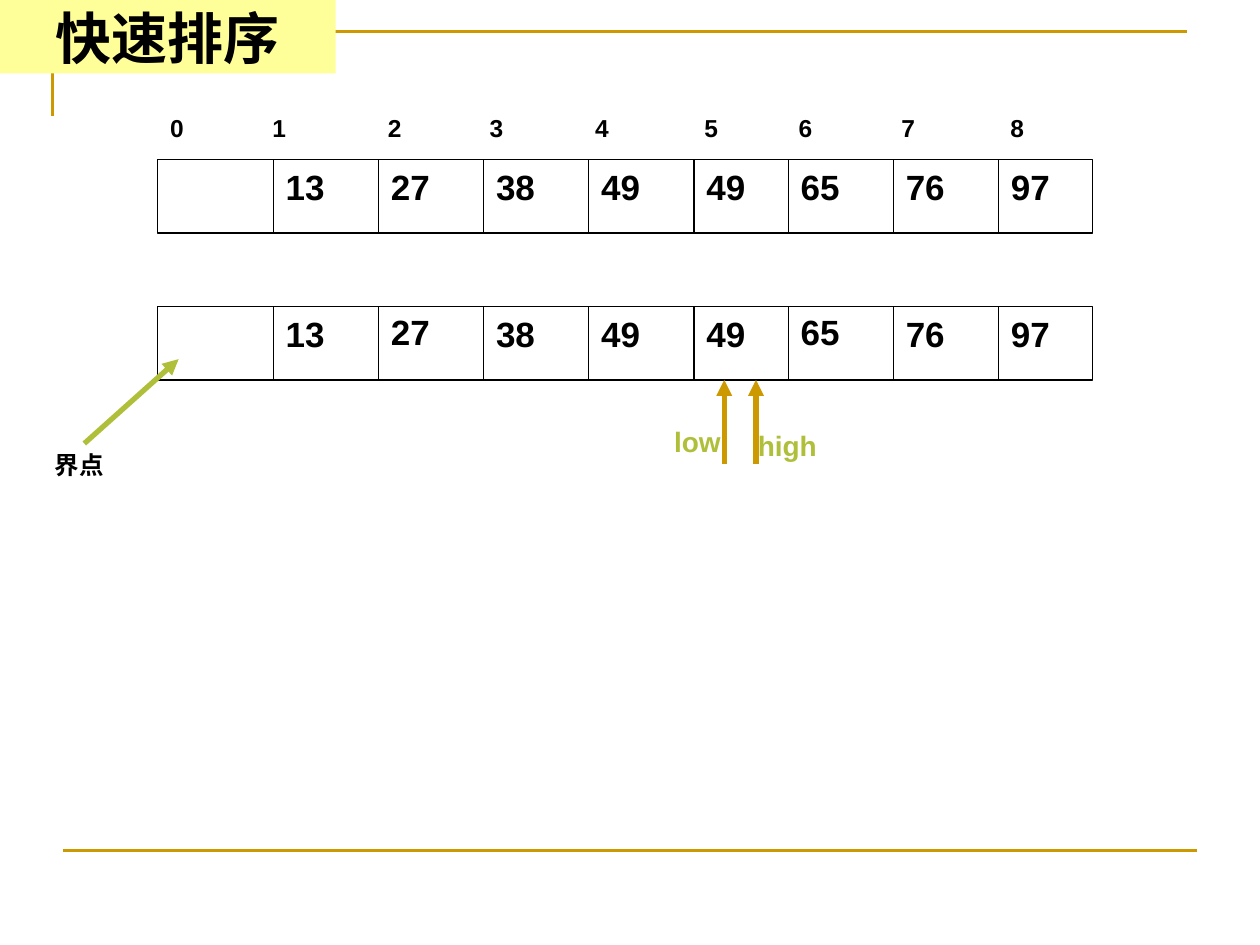
"""Build a quick sort slide showing an array before and after the pointers meet."""
from itertools import accumulate

import pptx
import pptx.dml.color
import pptx.enum.dml
import pptx.enum.shapes
import pptx.enum.text
import pptx.oxml
import pptx.oxml.ns
import pptx.util
from pptx.util import Cm

COLORS = {
    "ink": "000000",
    "paper": "FFFFFF",
    "gold": "CC9900",
    "green": "AFBF39",
    "title": "FFFF99",
}
VALUES = ["13", "27", "38", "49", "49", "65", "76", "97"]
CELL_WIDTHS = [2.33, 2.12, 2.12, 2.12, 2.12, 1.9, 2.12, 2.12, 1.9]
INDEX_TABS = [2.06, 4.39, 6.44, 8.57, 10.77, 12.67, 14.74, 16.94]
ROW_LEFT = 3.18
ROW_HEIGHT = 1.48
ROW_TOPS = [3.22, 6.18]
RAISED = {(1, "27"), (1, "65")}


def rgb(name):
    return pptx.dml.color.RGBColor.from_string(COLORS[name])


def style_line(line, color, width):
    line.color.rgb = rgb(color)
    line.width = pptx.util.Pt(width)


def style_text(frame, text, size, color="ink", font="Arial"):
    frame.word_wrap = True
    frame.text = text
    for run in frame.paragraphs[0].runs:
        run.font.name = font
        run.font.size = pptx.util.Pt(size)
        run.font.bold = True
        run.font.color.rgb = rgb(color)


def add_label(shapes, text, left, top, width, height, size, color="ink"):
    label = shapes.add_textbox(Cm(left), Cm(top), Cm(width), Cm(height))
    style_text(label.text_frame, text, size, color)
    return label


def add_box(shapes, left, top, width, height, fill):
    box = shapes.add_shape(pptx.enum.shapes.MSO_SHAPE.RECTANGLE,
                           Cm(left), Cm(top), Cm(width), Cm(height))
    box.shadow.inherit = False
    box.fill.solid()
    box.fill.fore_color.rgb = rgb(fill)
    return box


def add_line(shapes, start, end, color, width, arrow=False):
    line = shapes.add_connector(pptx.enum.shapes.MSO_CONNECTOR.STRAIGHT,
                                *map(Cm, start + end))
    style_line(line.line, color, width)
    if arrow:
        head = pptx.oxml.parse_xml(
            f'<a:tailEnd {pptx.oxml.ns.nsdecls("a")} type="triangle"/>')
        line.line._get_or_add_ln().append(head)
    line._element.spPr.append(
        pptx.oxml.parse_xml(f'<a:effectLst {pptx.oxml.ns.nsdecls("a")}/>'))


def add_frame(shapes):
    builder = shapes.build_freeform(Cm(1.06), Cm(2.33))
    builder.add_line_segments([(Cm(1.06), Cm(0.63)), (Cm(23.92), Cm(0.63))],
                              close=False)
    corner = builder.convert_to_shape()
    corner.shadow.inherit = False
    corner.fill.background()
    style_line(corner.line, "gold", 1.5)
    add_line(shapes, (1.27, 17.15), (24.13, 17.15), "gold", 1.5)


def add_title(shapes, text):
    title = add_box(shapes, 0, 0, 6.77, 1.48, "title")
    title.line.fill.background()
    style_text(title.text_frame, text, 32, font="Times New Roman")
    title.text_frame.vertical_anchor = pptx.enum.text.MSO_ANCHOR.MIDDLE
    title.text_frame.paragraphs[0].alignment = pptx.enum.text.PP_ALIGN.CENTER


def add_indices(shapes):
    indices = add_label(shapes, "\t".join(map(str, range(len(CELL_WIDTHS)))),
                        ROW_LEFT, 2.16, sum(CELL_WIDTHS), 0.86, 14)
    stops = "".join(f'<a:tab pos="{Cm(stop)}" algn="l"/>' for stop in INDEX_TABS)
    tabs = pptx.oxml.parse_xml(
        f'<a:tabLst {pptx.oxml.ns.nsdecls("a")}>{stops}</a:tabLst>')
    indices.text_frame.paragraphs[0]._p.get_or_add_pPr().append(tabs)


def add_row(shapes, row, top):
    cells = shapes.add_group_shape().shapes
    outline = add_box(cells, ROW_LEFT, top, sum(CELL_WIDTHS), ROW_HEIGHT, "paper")
    style_line(outline.line, "ink", 0.75)
    edges = [ROW_LEFT + offset for offset in accumulate(CELL_WIDTHS[:-1])]
    for edge, value in zip(edges, VALUES):
        add_line(cells, (edge, top), (edge, top + ROW_HEIGHT), "ink", 0.75)
        lift = 0.05 if (row, value) in RAISED else 0
        add_label(shapes, value, edge, top - lift, 1.7, 1.12, 20)


def add_pointer(shapes, name, arrow_x, label_left, label_top):
    pointer = shapes.add_group_shape().shapes
    row_bottom = ROW_TOPS[-1] + ROW_HEIGHT
    add_line(pointer, (arrow_x, 9.35), (arrow_x, row_bottom), "gold", 3, arrow=True)
    add_label(pointer, name, label_left, label_top, 2.33, 0.94, 16, "green")


def main():
    deck = pptx.Presentation()
    deck.slide_width, deck.slide_height = Cm(25.4), Cm(19.05)
    shapes = deck.slides.add_slide(deck.slide_layouts[6]).shapes
    add_frame(shapes)
    for row, top in enumerate(ROW_TOPS):
        add_row(shapes, row, top)
    add_indices(shapes)
    add_pointer(shapes, "high", 15.24, 15.03, 8.51)
    add_pointer(shapes, "low", 14.6, 13.34, 8.43)
    add_label(shapes, "界点", 0.85, 8.94, 2.11, 0.86, 14)
    add_line(shapes, (1.7, 8.94), (3.6, 7.24), "green", 3, arrow=True)
    add_title(shapes, "快速排序")
    deck.save("out.pptx")


if __name__ == "__main__":
    main()
